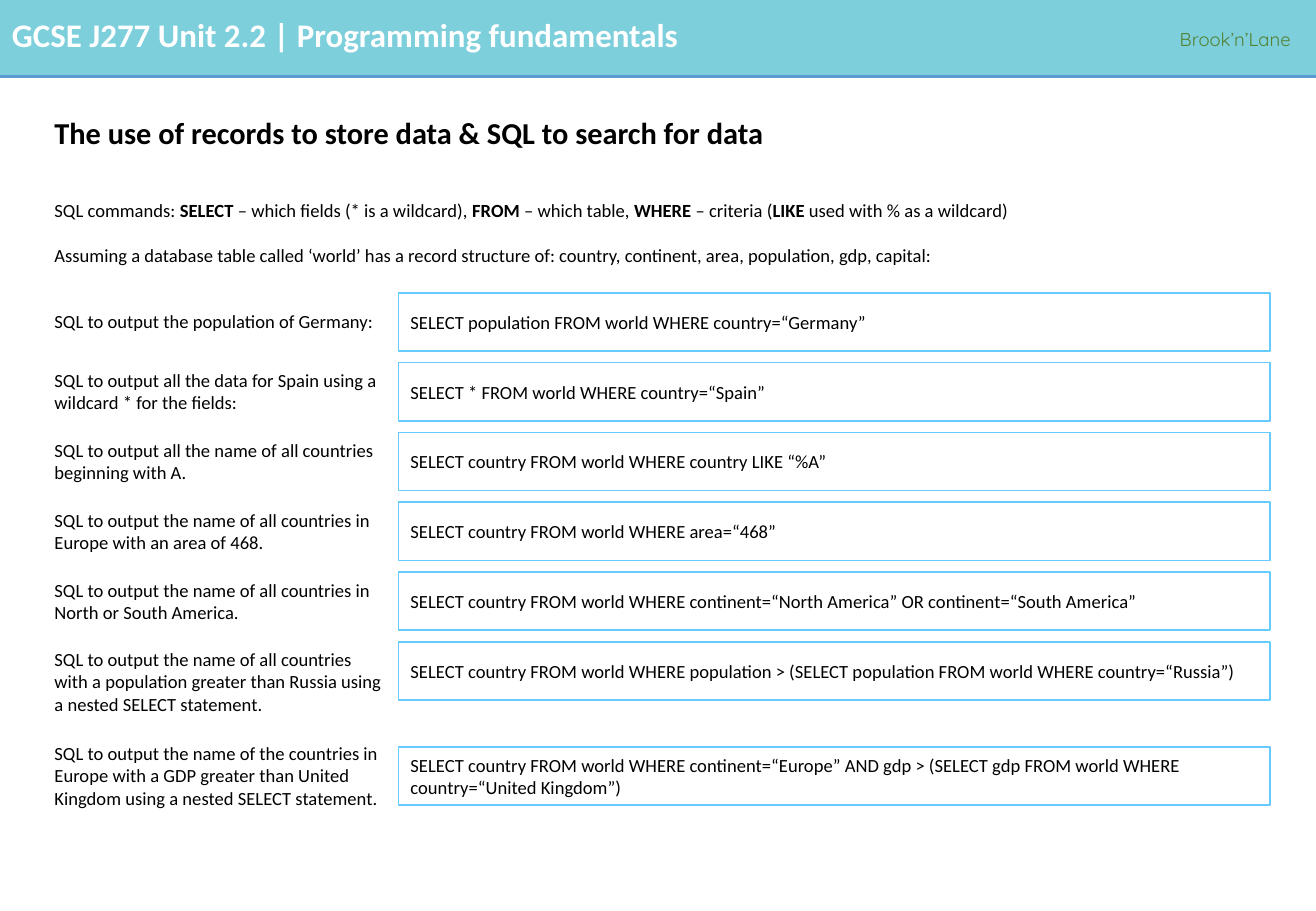
from lxml import etree
from pptx import Presentation
from pptx.dml.color import RGBColor
from pptx.enum import shapes, text
from pptx.oxml.ns import qn
from pptx.util import Inches, Pt

COLORS = {"band": "7CCFDB", "rule": "5B9BD5", "box": "66CCFF",
          "white": "FFFFFF", "black": "000000", "green": "548235"}

UNIT = "GCSE J277 Unit 2.2 | Programming fundamentals"
AUTHOR = "Brook’n’Lane"
TITLE = "The use of records to store data & SQL to search for data"

# Paragraphs of (words, bold) runs
INTRO = [
    [("SQL commands: ", False), ("SELECT", True),
     (" – which fields (* is a wildcard), ", False), ("FROM", True),
     (" – which table, ", False), ("WHERE", True),
     (" – criteria (", False), ("LIKE", True),
     (" used with % as a wildcard)", False)],
    [("Assuming a database table called ‘world’ has a record structure of: "
      "country, continent, area, population, gdp, capital:", False)],
]

# Task, lines it takes, query
TASKS = [
    ("SQL to output the population of Germany:", 1,
     "SELECT population FROM world WHERE country=“Germany”"),
    ("SQL to output all the data for Spain using a wildcard * for the fields:", 2,
     "SELECT * FROM world WHERE country=“Spain”"),
    ("SQL to output all the name of all countries beginning with A.", 2,
     "SELECT country FROM world WHERE country LIKE “%A”"),
    ("SQL to output the name of all countries in Europe with an area of 468.", 2,
     "SELECT country FROM world WHERE area=“468”"),
    ("SQL to output the name of all countries in North or South America.", 2,
     "SELECT country FROM world WHERE continent=“North America” "
     "OR continent=“South America”"),
    ("SQL to output the name of all countries with a population greater than "
     "Russia using a nested SELECT statement.", 3,
     "SELECT country FROM world WHERE population > "
     "(SELECT population FROM world WHERE country=“Russia”)"),
    ("SQL to output the name of the countries in Europe with a GDP greater than "
     "United Kingdom using a nested SELECT statement.", 3,
     "SELECT country FROM world WHERE continent=“Europe” AND gdp > "
     "(SELECT gdp FROM world WHERE country=“United Kingdom”)"),
]

WIDTH, HEIGHT = 10.83, 7.5
BAND = 0.63
LEFT, FULL = 0.35, 10.1
TASK_W = 2.93
BOX_X, BOX_W, BOX_H = LEFT + TASK_W, FULL - TASK_W, 0.48
HEIGHTS = {1: 0.29, 2: 0.47, 3: 0.66}
TOPS = [2.41 + 0.575 * i for i in range(6)] + [6.15]

prs = Presentation()
prs.slide_width, prs.slide_height = Inches(WIDTH), Inches(HEIGHT)
slide = prs.slides.add_slide(prs.slide_layouts[6])


def color(name):
    return RGBColor.from_string(COLORS[name])


def write(shape, paras, size=11, font="Calibri", ink="black", bold=False,
          anchor=text.MSO_ANCHOR.TOP, wrap=True, line=None, gap=0):
    """Fill a shape with a string, or with paragraphs of (words, bold) runs."""
    if isinstance(paras, str):
        paras = [[(paras, bold)]]
    frame = shape.text_frame
    frame.word_wrap = wrap
    frame.vertical_anchor = anchor
    for i, runs in enumerate(paras):
        para = frame.add_paragraph() if i else frame.paragraphs[0]
        para.alignment = text.PP_ALIGN.LEFT
        if line:
            para.line_spacing = line
        if i:
            para.space_before = Pt(gap)
        for words, heavy in runs:
            run = para.add_run()
            run.text = words
            run.font.name, run.font.size = font, Pt(size)
            run.font.bold = heavy
            run.font.color.rgb = color(ink)


def label(x, y, w, h, paras, **fmt):
    write(slide.shapes.add_textbox(*map(Inches, (x, y, w, h))), paras, **fmt)


def rect(x, y, w, h, fill=None, edge=None):
    shape = slide.shapes.add_shape(
        shapes.MSO_SHAPE.RECTANGLE, *map(Inches, (x, y, w, h)))
    shape.shadow.inherit = False
    if fill:
        shape.fill.solid()
        shape.fill.fore_color.rgb = color(fill)
    else:
        shape.fill.background()
    if edge:
        shape.line.color.rgb = color(edge)
        shape.line.width = Pt(1)
    else:
        shape.line.fill.background()
    return shape


rect(0, 0, WIDTH, BAND, fill="band")
rule = slide.shapes.add_connector(
    shapes.MSO_CONNECTOR.STRAIGHT, 0, Inches(BAND), Inches(WIDTH), Inches(BAND))
rule.line.color.rgb = color("rule")
rule.line.width = Pt(2.25)
etree.SubElement(rule._element.spPr, qn("a:effectLst"))

label(0, 0.07, 9.48, 0.43, UNIT, size=19.5, ink="white", bold=True)
label(9.61, 0.17, 1.22, 0.29, AUTHOR, font="Quicksand", ink="green",
      wrap=False, line=1.07)
label(LEFT, 0.83, FULL, 0.56, TITLE, size=18, bold=True, line=0.9,
      anchor=text.MSO_ANCHOR.MIDDLE)
label(LEFT, 1.59, FULL, 0.66, INTRO, gap=13.4)

for i, (top, (task, lines, query)) in enumerate(zip(TOPS, TASKS)):
    high = HEIGHTS[lines]
    # Tasks sit level with their box; a tall one must not rise into the row above
    crowded = high > BOX_H and top - TOPS[i - 1] < 0.6
    y = top if crowded else top + (BOX_H - high) / 2
    label(LEFT, y, TASK_W, high, task)
    write(rect(BOX_X, top, BOX_W, BOX_H, edge="box"), query,
          anchor=text.MSO_ANCHOR.MIDDLE)

prs.save("out.pptx")
